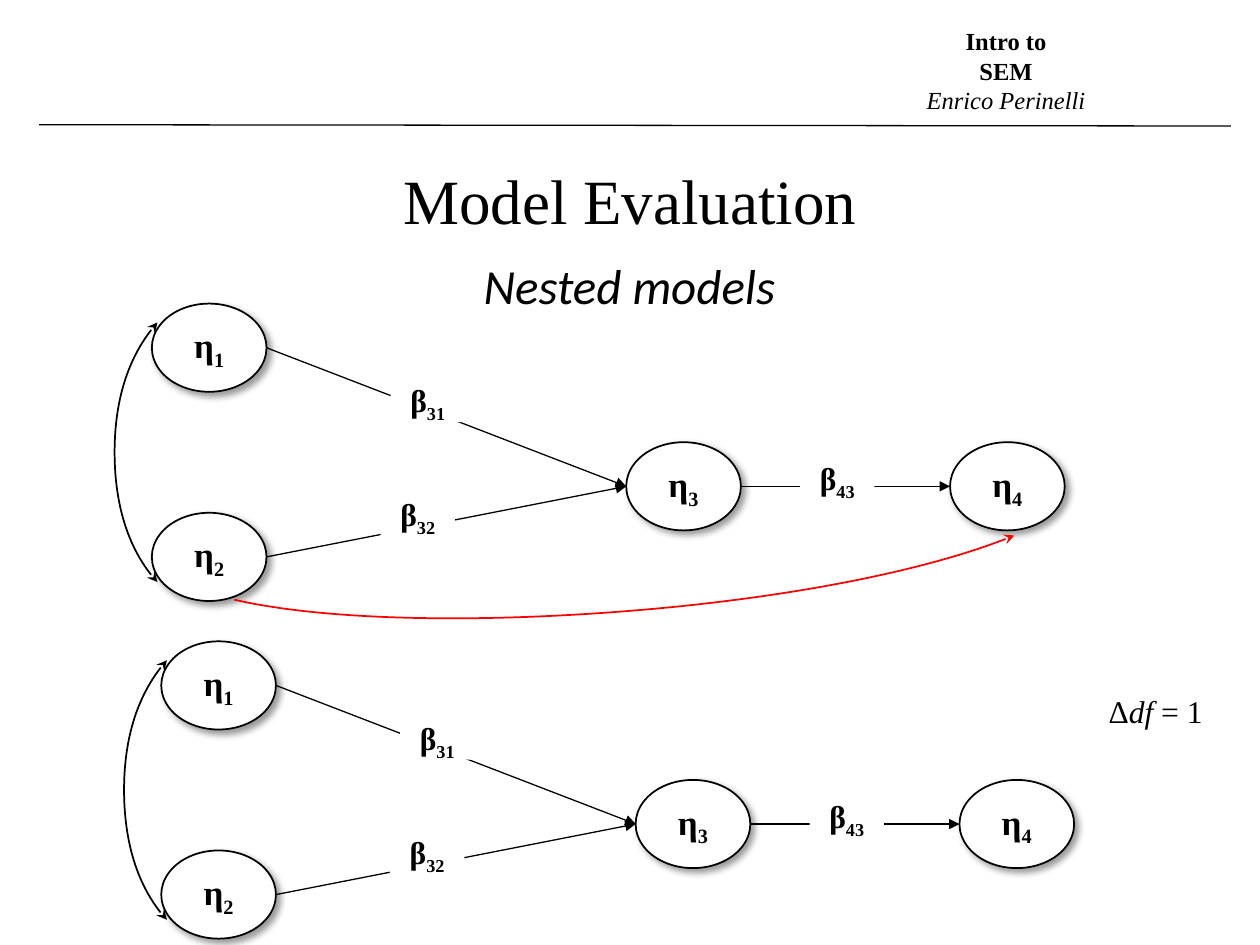
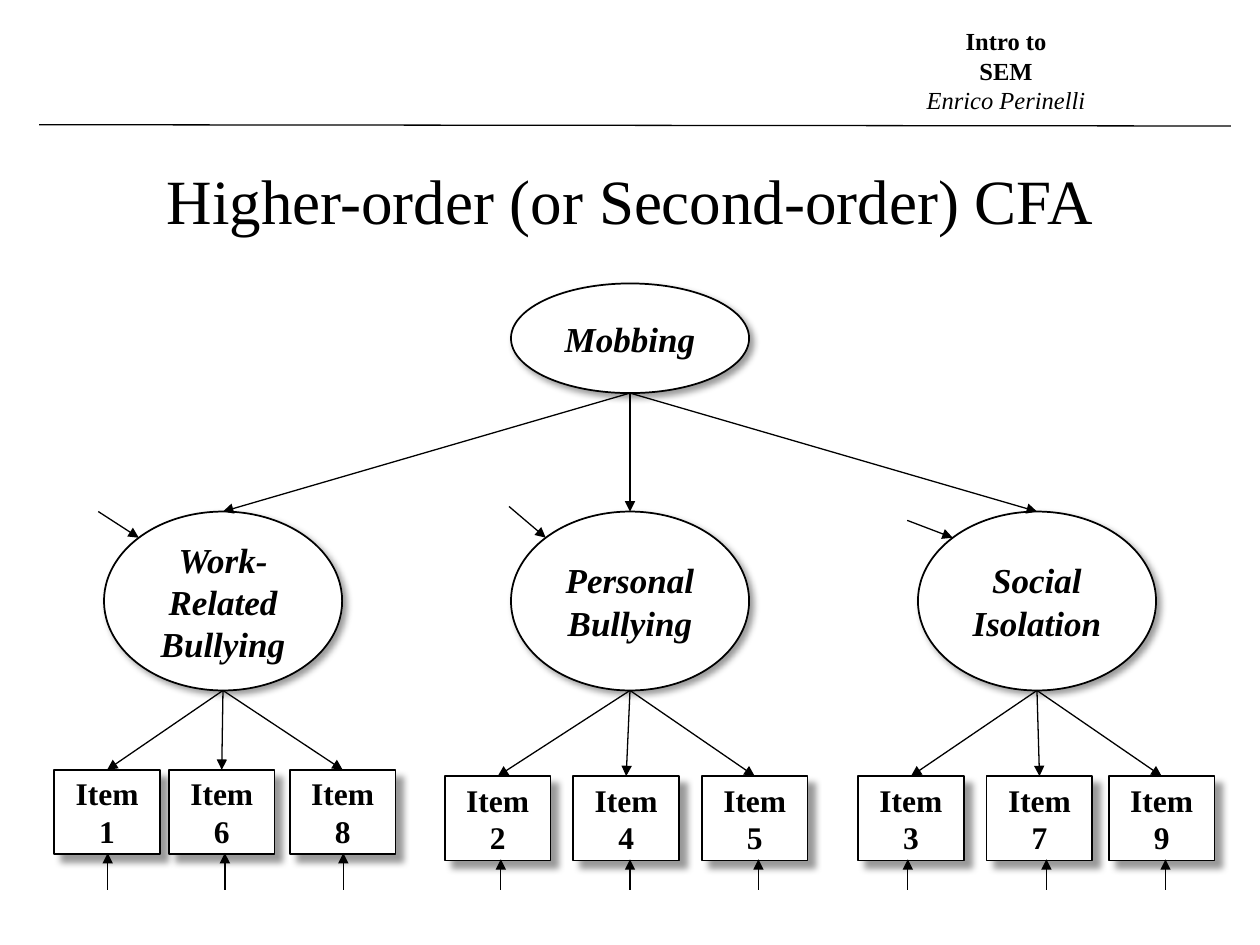
from lxml.etree import SubElement
from pptx import Presentation
from pptx.dml.color import RGBColor
from pptx.enum.shapes import MSO_CONNECTOR, MSO_SHAPE
from pptx.enum.text import MSO_ANCHOR, MSO_AUTO_SIZE, PP_ALIGN
from pptx.oxml.ns import qn
from pptx.util import Inches, Pt

COLOURS = {"ink": "000000", "paper": "FFFFFF", "added_path": "FF0000"}
SERIF, SANS = "Times New Roman", "Calibri"
COLUMNS, ROWS = 100, 75
SLIDE_WIDTH, SLIDE_HEIGHT = Inches(10), Inches(7.5)

LATENT_WIDTH, LATENT_HEIGHT = 9.1, 7
FACTOR_WIDTH, FACTOR_HEIGHT, FACTOR_TOP = 18.9, 14.2, 40.6
ITEM_WIDTH, ITEM_HEIGHT = 8.4, 6.7
DIAGONAL = 0.5 ** 0.5

# name, centre column, start of its disturbance arrow, top row of its items,
# then (item number, left column, error arrow column) for each item
FACTORS = [
    ("Work-Related Bullying", 17.7, (7.8, 40.6), 61.1,
     [(1, 4.3, 8.55), (6, 13.4, 17.85), (8, 23, 27.25)]),
    ("Personal Bullying", 50, (40.4, 40.2), 61.6,
     [(2, 35.3, 39.75), (4, 45.5, 50), (5, 55.7, 60.2)]),
    ("Social Isolation", 82.3, (72, 41.3), 61.6,
     [(3, 68.1, 72.05), (7, 78.3, 83.05), (9, 88, 92.5)]),
]


def colour(name):
    return RGBColor.from_string(COLOURS[name])


def column(count):
    return round(SLIDE_WIDTH * count / COLUMNS)


def row(count):
    return round(SLIDE_HEIGHT * count / ROWS)


def place(left, top, width, height):
    return column(left), row(top), column(width), row(height)


def write_text(shape, paragraphs, size, font=SERIF, bold=False, italic=False,
               align=PP_ALIGN.CENTER):
    """Fill a shape; each paragraph is a list of (text, run overrides)."""
    frame = shape.text_frame
    for index, runs in enumerate(paragraphs):
        paragraph = frame.add_paragraph() if index else frame.paragraphs[0]
        paragraph.alignment = align
        for text, overrides in runs:
            run = paragraph.add_run()
            run.text = text
            run.font.name = font
            run.font.size = Pt(size)
            run.font.bold = overrides.get("bold", bold)
            run.font.italic = overrides.get("italic", italic)
            run.font.color.rgb = colour("ink")
            if overrides.get("subscript"):
                run._r.get_or_add_rPr().set("baseline", "-25000")


def add_label(slide, box, paragraphs, **text_format):
    label = slide.shapes.add_textbox(*place(*box))
    label.text_frame.word_wrap = False
    label.text_frame.auto_size = MSO_AUTO_SIZE.SHAPE_TO_FIT_TEXT
    write_text(label, paragraphs, **text_format)


def add_node(slide, kind, box, runs, shadow_distance=None, **text_format):
    """Add a white shape; one with a shadow distance also has an outline."""
    node = slide.shapes.add_shape(kind, *place(*box))
    node.fill.solid()
    node.fill.fore_color.rgb = colour("paper")
    node.shadow.inherit = False
    if shadow_distance:
        node.line.color.rgb = colour("ink")
        node.line.width = Pt(1)
        effects = node._element.spPr.find(qn("a:effectLst"))
        shadow = SubElement(effects, qn("a:outerShdw"), blurRad=str(Pt(4)),
                            dist=str(Pt(shadow_distance)), dir="2700000",
                            algn="tl", rotWithShape="0")
        black = SubElement(shadow, qn("a:srgbClr"), val=COLOURS["ink"])
        SubElement(black, qn("a:alpha"), val="40000")
    else:
        node.line.fill.background()
    node.text_frame.word_wrap = True
    node.text_frame.vertical_anchor = MSO_ANCHOR.MIDDLE
    write_text(node, [runs], bold=True, **text_format)


def style_line(shape, line_colour, width, **ends):
    shape.line.color.rgb = colour(line_colour)
    shape.line.width = Pt(width)
    outline = shape._element.spPr.find(qn("a:ln"))
    for end in ("headEnd", "tailEnd"):
        if end in ends:
            SubElement(outline, qn("a:" + end), type=ends[end])


def add_line(slide, start, finish, **ends):
    line = slide.shapes.add_connector(
        MSO_CONNECTOR.STRAIGHT, column(start[0]), row(start[1]),
        column(finish[0]), row(finish[1]))
    style_line(line, "ink", 0.75, **ends)
    SubElement(line._element.spPr, qn("a:effectLst"))


def add_arrow(slide, start, finish):
    add_line(slide, start, finish, tailEnd="triangle")


def add_curve(slide, points, line_colour, **ends):
    """Draw cubic curves through a start point and triples of control points."""
    corners = [(column(x), row(y)) for x, y in points]
    builder = slide.shapes.build_freeform(*corners[0])
    builder.add_line_segments(corners[1:], close=False)
    curve = builder.convert_to_shape()
    outline = curve._element.spPr.find(".//" + qn("a:path"))
    segments = outline.findall(qn("a:lnTo"))
    for first in range(0, len(segments), 3):
        cubic = SubElement(outline, qn("a:cubicBezTo"))
        for segment in segments[first:first + 3]:
            cubic.append(segment[0])
            outline.remove(segment)
    curve.fill.background()
    curve.shadow.inherit = False
    style_line(curve, line_colour, 1, **ends)


def add_titled_slide(presentation, title):
    slide = presentation.slides.add_slide(presentation.slide_layouts[5])
    heading = slide.shapes.title
    heading.left, heading.top, heading.width, heading.height = place(
        4.7, 12.3, 90.6, 7.1)
    heading.text_frame.vertical_anchor = MSO_ANCHOR.TOP
    write_text(heading, [[(title, {})]], size=36)
    add_line(slide, (3.1, 9.9), (97.7, 10))
    add_label(slide, (72.5, 1.6, 14.7, 8.1),
              [[("Intro to", {})], [("SEM", {})],
               [("Enrico Perinelli", {"bold": False, "italic": True})]],
              size=14, bold=True)
    return slide


def add_path_model(slide, across, down):
    """Draw four latent variables and their paths, shifted by columns and rows."""
    def shifted(x, y):
        return x + across, y + down

    def symbol(letter, index):
        return [(letter, {}), (index, {"subscript": True})]

    covariance = [(12.5, 46.2), (10.4, 44), (9.1, 40.1), (9.1, 35.9),
                  (9.1, 31.7), (10.4, 27.9), (12.5, 25.6)]
    add_curve(slide, [shifted(*point) for point in covariance], "ink",
              headEnd="stealth", tailEnd="stealth")

    latents = {"1": (12.05, 24.1), "2": (12.05, 40.7),
               "3": (49.7, 35.1), "4": (75.4, 35.1)}
    for index, corner in latents.items():
        add_node(slide, MSO_SHAPE.OVAL,
                 (*shifted(*corner), LATENT_WIDTH, LATENT_HEIGHT),
                 symbol("η", index), shadow_distance=3, size=20)

    betas = {"31": (31, 30.4), "32": (30.2, 39.45), "43": (63.5, 36.6)}
    for index, corner in betas.items():
        target, source = (latents[number] for number in index)
        middle = LATENT_HEIGHT / 2
        add_arrow(slide,
                  shifted(source[0] + LATENT_WIDTH, source[1] + middle),
                  shifted(target[0], target[1] + middle))
        add_node(slide, MSO_SHAPE.RECTANGLE, (*shifted(*corner), 5.9, 3.1),
                 symbol("β", index), size=18)


def add_factor(slide, name, centre, disturbance, items_top, items):
    """Draw a first-order factor with its disturbance, items and errors."""
    add_node(slide, MSO_SHAPE.OVAL,
             (centre - FACTOR_WIDTH / 2, FACTOR_TOP, FACTOR_WIDTH, FACTOR_HEIGHT),
             [(name, {})], shadow_distance=3, size=20, italic=True)
    add_arrow(slide, disturbance,
              (centre - FACTOR_WIDTH / 2 * DIAGONAL,
               FACTOR_TOP + FACTOR_HEIGHT / 2 * (1 - DIAGONAL)))
    for number, left, error in items:
        add_node(slide, MSO_SHAPE.RECTANGLE,
                 (left, items_top, ITEM_WIDTH, ITEM_HEIGHT),
                 [(f"Item {number}", {})], shadow_distance=6, size=18)
        add_arrow(slide, (centre, FACTOR_TOP + FACTOR_HEIGHT),
                  (left + ITEM_WIDTH / 2, items_top))
        add_arrow(slide, (error, 70.6), (error, items_top + ITEM_HEIGHT - 0.1))


def add_nested_models_slide(presentation):
    slide = add_titled_slide(presentation, "Model Evaluation")
    add_label(slide, (37.4, 19.8, 26.3, 5.7), [[("Nested models", {})]],
              size=28, font=SANS, italic=True, align=PP_ALIGN.LEFT)
    add_path_model(slide, 0, 0)
    add_path_model(slide, 0.75, 26.8)
    add_curve(slide, [(80.5, 42.5), (74, 45.2), (62.4, 47.5), (49.8, 48.5),
                      (37.2, 49.5), (25.5, 49.2), (18.6, 47.6)],
              "added_path", headEnd="stealth")
    add_label(slide, (87, 54.4, 9.6, 4),
              [[("Δ", {}), ("df", {"italic": True}), (" = 1", {})]],
              size=18, align=PP_ALIGN.LEFT)


def add_higher_order_slide(presentation):
    slide = add_titled_slide(presentation, "Higher-order (or Second-order) CFA")
    centre, top, height = COLUMNS / 2, 22.5, 8.7
    add_node(slide, MSO_SHAPE.OVAL,
             (centre - FACTOR_WIDTH / 2, top, FACTOR_WIDTH, height),
             [("Mobbing", {})], shadow_distance=3, size=20, italic=True)
    for factor in FACTORS:
        add_factor(slide, *factor)
        add_arrow(slide, (centre, top + height), (factor[1], FACTOR_TOP))


def main():
    presentation = Presentation()
    presentation.slide_width = SLIDE_WIDTH
    presentation.slide_height = SLIDE_HEIGHT
    add_nested_models_slide(presentation)
    add_higher_order_slide(presentation)
    presentation.save("out.pptx")


if __name__ == "__main__":
    main()
